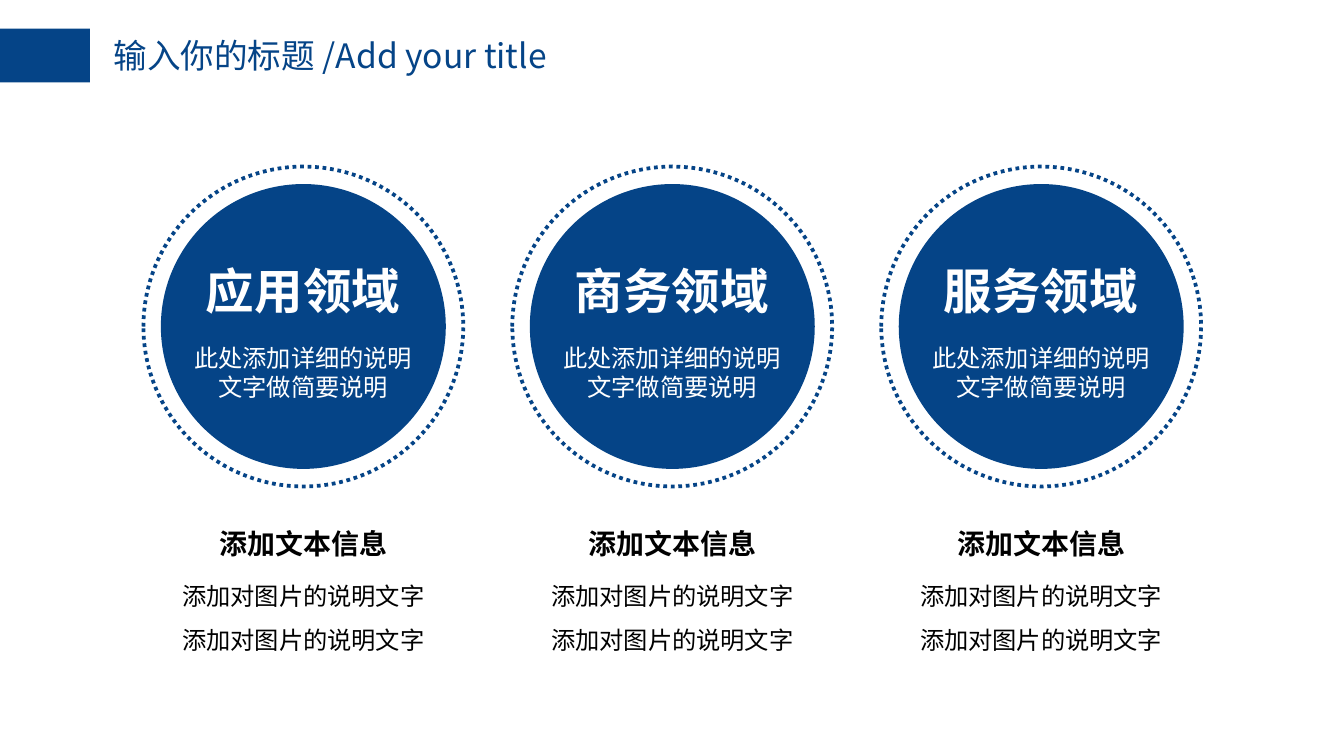
import dataclasses

import pptx
import pptx.dml.color
import pptx.enum.dml
import pptx.enum.shapes
import pptx.enum.text
import pptx.oxml
import pptx.oxml.ns
import pptx.util

ALIGN = pptx.enum.text.PP_ALIGN
OVAL = pptx.enum.shapes.MSO_SHAPE.OVAL
RECT = pptx.enum.shapes.MSO_SHAPE.RECTANGLE


@dataclasses.dataclass(frozen=True)
class Theme:
    """Colours, font and type sizes of the slide."""
    blue: str = "054487"
    white: str = "FFFFFF"
    black: str = "000000"
    font: str = "Noto Sans CJK SC"
    title: int = 18
    field: int = 26
    heading: int = 15
    body: int = 13
    ring: int = 2


THEME = Theme()


def rgb(value):
    """Return a colour object for a hex string."""
    return pptx.dml.color.RGBColor.from_string(value)


def inside(box, left, top, width, height):
    """Return the part of a box given in percent of its sides."""
    x, y, w, h = box
    return (round(x + w * left / 100), round(y + h * top / 100),
            round(w * width / 100), round(h * height / 100))


def assign(obj, values):
    """Set attributes from a dict."""
    for name, value in values.items():
        setattr(obj, name, value)


def add_plain(s, kind, box, fill=None, line=None):
    """Add a preset shape with an optional fill or dotted outline."""
    sp = s.shapes.add_shape(kind, *box)
    sp.shadow.inherit = False
    if fill:
        sp.fill.solid()
        sp.fill.fore_color.rgb = rgb(fill)
    else:
        sp.fill.background()
    if line:
        sp.line.color.rgb = rgb(line)
        assign(sp.line, {"width": pptx.util.Pt(THEME.ring),
                         "dash_style": pptx.enum.dml.MSO_LINE.ROUND_DOT})
    else:
        sp.line.fill.background()


def write(p, text, size, color, bold=False, **layout):
    """Write one formatted run into a paragraph."""
    assign(p, layout)
    r = p.add_run()
    r.text = text
    assign(r.font, {"name": THEME.font, "size": pptx.util.Pt(size), "bold": bold})
    r.font.color.rgb = rgb(color)
    ea = pptx.oxml.parse_xml(
        f'<a:ea {pptx.oxml.ns.nsdecls("a")} typeface="{THEME.font}"/>')
    r.font._element.find(pptx.oxml.ns.qn("a:latin")).addnext(ea)


def add_pair(s, box, head, body, size, color, **layout):
    """Add a centred text box with a bold heading over body text."""
    tf = s.shapes.add_textbox(*box).text_frame
    tf.word_wrap = True
    write(tf.paragraphs[0], head, size, color, True, alignment=ALIGN.CENTER)
    write(tf.add_paragraph(), body, THEME.body, color,
          alignment=ALIGN.CENTER, **layout)


def add_header(s, box, text):
    """Place the blue bar and the slide title in the box."""
    add_plain(s, RECT, inside(box, 0, 3.78, 6.7, 7.12), fill=THEME.blue)
    sp = s.shapes.title
    sides = ("left", "top", "width", "height")
    assign(sp, dict(zip(sides, inside(box, 7.45, 3.74, 41.7, 12.63))))
    tf = sp.text_frame
    assign(tf, {"word_wrap": True,
                "auto_size": pptx.enum.text.MSO_AUTO_SIZE.NONE,
                "vertical_anchor": pptx.enum.text.MSO_ANCHOR.TOP})
    write(tf.paragraphs[0], text, THEME.title, THEME.blue, alignment=ALIGN.LEFT)


def add_field(s, box, name):
    """Place one ringed disc with its caption and the note below."""
    add_plain(s, OVAL, inside(box, 5.46, 3.37, 89.08, 54.92), fill=THEME.blue)
    add_plain(s, OVAL, inside(box, 0, 0, 100, 61.66), line=THEME.blue)
    add_pair(s, inside(box, 11.1, 16.96, 77.73, 30.05), name,
             "此处添加详细的说明文字做简要说明", THEME.field, THEME.white,
             space_before=pptx.util.Pt(12.9))
    add_pair(s, inside(box, 5.04, 68.2, 89.92, 31.87), "添加文本信息",
             "添加对图片的说明文字添加对图片的说明文字", THEME.heading, THEME.black,
             space_before=pptx.util.Pt(3.2), line_spacing=1.5)


def main():
    """Build and save the slide."""
    prs = pptx.Presentation()
    width = pptx.util.Inches(10)
    assign(prs, {"slide_width": width, "slide_height": width * 9 // 16})
    s = prs.slides.add_slide(prs.slide_layouts.get_by_name("Title Only"))
    page = (0, 0, prs.slide_width, prs.slide_height)
    add_header(s, page, "输入你的标题 /Add your title")
    for i, name in enumerate(("应用领域", "商务领域", "服务领域")):
        add_field(s, inside(page, 10.67 + 27.45 * i, 22.04, 23.8, 68.62), name)
    prs.save("out.pptx")


if __name__ == "__main__":
    main()
